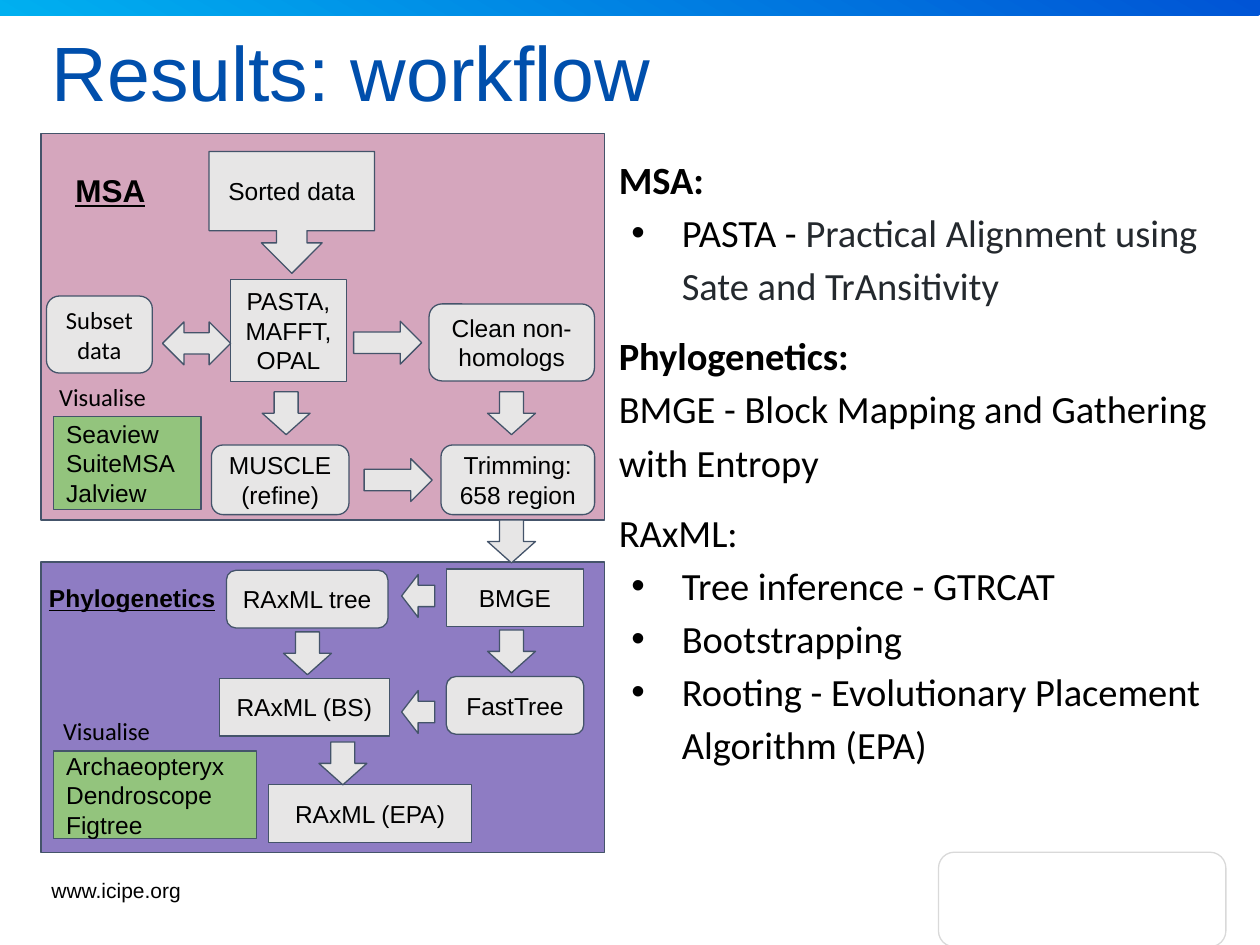
from dataclasses import dataclass
from typing import NamedTuple

from lxml import etree
from pptx import Presentation
from pptx import util as u
from pptx.dml.color import RGBColor
from pptx.enum import shapes, text
from pptx.oxml.ns import qn

Pt = u.Pt
Kind = shapes.MSO_SHAPE
Align = text.PP_ALIGN
Anchor = text.MSO_ANCHOR


def rgb(value: str) -> RGBColor:
    return RGBColor.from_string(value)


@dataclass(frozen=True)
class Theme:
    title: RGBColor = rgb("004FAC")
    ink: RGBColor = rgb("000000")
    soft_ink: RGBColor = rgb("24292E")
    outline: RGBColor = rgb("44546A")
    step: RGBColor = rgb("E7E6E6")
    viewer: RGBColor = rgb("93C47D")
    msa: RGBColor = rgb("D5A6BD")
    phylogenetics: RGBColor = rgb("8E7CC3")
    white: RGBColor = rgb("FFFFFF")
    pale: RGBColor = rgb("D9D9D9")
    band_start: RGBColor = rgb("0054D5")
    band_end: RGBColor = rgb("00B0F0")
    sans: str = "Arial"
    body: str = "Calibri"
    title_size: int = 44
    body_size: int = 22
    heading_size: int = 18
    label_size: int = 14
    footer_size: int = 12
    line_width: float = 0.75
    inset: float = 7.2


THEME = Theme()


class Box(NamedTuple):
    left: float
    top: float
    width: float
    height: float


class Step(NamedTuple):
    kind: Kind
    box: Box
    lines: tuple = ()
    fill: RGBColor = THEME.step
    align: Align = Align.CENTER
    font: str = THEME.sans


class Label(NamedTuple):
    box: Box
    words: str
    size: int = THEME.label_size
    font: str = THEME.sans
    insets: tuple = (0, 0)
    heading: bool = False


class Note(NamedTuple):
    runs: tuple  # (words, colour) pairs
    bold: bool = False
    bullet: bool = False
    before: float = 0


def apply(target, values: dict) -> None:
    for name, value in values.items():
        setattr(target, name, value)


def style_font(font, face: str, size: float, colour=THEME.ink, **extra) -> None:
    apply(font, {"name": face, "size": Pt(size), **extra})
    font.color.rgb = colour


def set_frame(frame, across: float, down: float, anchor=Anchor.TOP) -> None:
    apply(frame, {"word_wrap": True, "auto_size": text.MSO_AUTO_SIZE.NONE,
                  "vertical_anchor": anchor,
                  "margin_left": Pt(across), "margin_right": Pt(across),
                  "margin_top": Pt(down), "margin_bottom": Pt(down)})


def place(box: Box) -> list:
    return [Pt(length) for length in box]


def add_block(slide, kind: Kind, box: Box, fill: RGBColor, line=THEME.outline):
    block = slide.shapes.add_shape(kind, *place(box))
    block.shadow.inherit = False
    block.fill.solid()
    block.fill.fore_color.rgb = fill
    block.line.color.rgb = line
    block.line.width = Pt(THEME.line_width)
    return block


def add_step(slide, step: Step) -> None:
    frame = add_block(slide, step.kind, step.box, step.fill).text_frame
    set_frame(frame, THEME.inset, THEME.inset, Anchor.MIDDLE)
    for index, words in enumerate(step.lines):
        line = frame.add_paragraph() if index else frame.paragraphs[0]
        line.alignment = step.align
        run = line.add_run()
        run.text = words
        style_font(run.font, step.font, THEME.label_size)


def add_label(slide, label: Label) -> None:
    frame = slide.shapes.add_textbox(*place(label.box)).text_frame
    set_frame(frame, *label.insets)
    run = frame.paragraphs[0].add_run()
    run.text = label.words
    style_font(run.font, label.font, label.size, bold=label.heading, underline=label.heading)


def add_bullet(paragraph) -> None:
    props = paragraph._p.get_or_add_pPr()
    props.set("marL", str(Pt(36)))
    props.set("indent", str(-Pt(28.8)))
    colour = etree.SubElement(props, qn("a:buClr"))
    etree.SubElement(colour, qn("a:srgbClr")).set("val", str(THEME.ink))
    etree.SubElement(props, qn("a:buFont")).set("typeface", THEME.sans)
    etree.SubElement(props, qn("a:buChar")).set("char", "•")


def add_notes_column(slide, box: Box, notes: list) -> None:
    frame = slide.shapes.add_textbox(*place(box)).text_frame
    set_frame(frame, THEME.inset, THEME.inset)
    frame.margin_left = 0
    for index, note in enumerate(notes):
        paragraph = frame.add_paragraph() if index else frame.paragraphs[0]
        if note.bullet:
            add_bullet(paragraph)
        apply(paragraph, {"line_spacing": 1.15, "space_before": Pt(note.before)})
        for words, colour in note.runs:
            run = paragraph.add_run()
            run.text = words
            style_font(run.font, THEME.body, THEME.body_size, colour, bold=note.bold)


def add_title(slide, words: str) -> None:
    title = slide.shapes.title
    apply(title, dict(zip(("left", "top", "width", "height"), place(Box(22.3, 13, 682, 62)))))
    set_frame(title.text_frame, 7.2, 3.6, Anchor.MIDDLE)
    title.text_frame.text = words
    paragraph = title.text_frame.paragraphs[0]
    apply(paragraph, {"alignment": Align.LEFT, "line_spacing": 0.9})
    style_font(paragraph.runs[0].font, THEME.sans, THEME.title_size, THEME.title)


PLAIN, ROUND = Kind.FLOWCHART_PROCESS, Kind.FLOWCHART_ALTERNATE_PROCESS

PANELS = [(Box(23.5, 321.2, 322, 165.8), THEME.phylogenetics),
          (Box(23.5, 76.3, 322, 220.9), THEME.msa)]

STEPS = [
    Step(Kind.DOWN_ARROW_CALLOUT, Box(119.5, 86.6, 94.5, 69.6), ("Sorted data",)),
    Step(PLAIN, Box(131.7, 159.7, 66.4, 58.2), ("PASTA, MAFFT,", "OPAL")),
    Step(ROUND, Box(26.6, 169.2, 60.5, 44), ("Subset data",), font=THEME.body),
    Step(ROUND, Box(245.2, 173.7, 94.5, 44), ("Clean non- homologs",)),
    Step(ROUND, Box(120.8, 254.3, 78.6, 39.8), ("MUSCLE (refine)",)),
    Step(ROUND, Box(252, 254.3, 87.8, 39.8), ("Trimming:", "658 region")),
    Step(PLAIN, Box(255, 325.2, 78.6, 33), ("BMGE",)),
    Step(ROUND, Box(129.4, 325.9, 92.3, 33), ("RAxML tree",)),
    Step(ROUND, Box(255, 386.6, 78.6, 33), ("FastTree",)),
    Step(PLAIN, Box(125.3, 387.6, 97.2, 33), ("RAxML (BS)",)),
    Step(PLAIN, Box(153.5, 448.3, 116, 33), ("RAxML (EPA)",)),
    Step(PLAIN, Box(30.7, 238.2, 84.2, 53),
         ("Seaview", "SuiteMSA", "Jalview"), THEME.viewer, Align.LEFT),
    Step(PLAIN, Box(30.7, 429.2, 116, 50),
         ("Archaeopteryx", "Dendroscope", "Figtree"), THEME.viewer, Align.LEFT),
]

# Arrow kind -> (width, height) and top-left corners
ARROWS = {
    Kind.LEFT_RIGHT_ARROW: ((38.9, 24.5), [(92.9, 184)]),
    Kind.RIGHT_ARROW: ((38.9, 24.5), [(202.1, 183.6), (208.1, 262.1)]),
    Kind.DOWN_ARROW: ((27.4, 24.5), [(149.8, 223.9), (278.6, 223.9), (278.6, 297.2),
                                     (162, 361.1), (278.6, 360), (182.2, 424)]),
    Kind.LEFT_ARROW: ((18.9, 24.5), [(229.5, 328.3), (229.5, 394.6)]),
}

LABELS = [
    Label(Box(36, 90.7, 60.5, 36), "MSA", THEME.heading_size, insets=(7.2, 7.2), heading=True),
    Label(Box(28, 326.2, 100.8, 33), "Phylogenetics", insets=(0, 7.2), heading=True),
    Label(Box(33.8, 218.2, 78.5, 18), "Visualise", font=THEME.body),
    Label(Box(36, 409, 78.5, 18), "Visualise", font=THEME.body),
    Label(Box(22.3, 498.2, 414.7, 21.6), "www.icipe.org", THEME.footer_size, insets=(7.2, 3.6)),
]

NOTES = [
    Note((("MSA:", THEME.ink),), bold=True),
    Note((("PASTA - ", THEME.ink),
          ("Practical Alignment using Sate and TrAnsitivity", THEME.soft_ink)), bullet=True),
    Note((("Phylogenetics:", THEME.ink),), bold=True, before=10),
    Note((("BMGE - Block Mapping and Gathering with Entropy", THEME.ink),)),
    Note((("RAxML:", THEME.ink),), before=10),
    *(Note(((words, THEME.ink),), bullet=True) for words in (
        "Tree inference - GTRCAT", "Bootstrapping",
        "Rooting - Evolutionary Placement Algorithm (EPA)")),
]


def main() -> None:
    deck = Presentation()
    apply(deck, {"slide_width": Pt(720), "slide_height": Pt(540)})
    slide = deck.slides.add_slide(deck.slide_layouts[5])
    add_title(slide, "Results: workflow")

    # Top band and corner frame
    band = add_block(slide, Kind.RECTANGLE, Box(0, 0, 720, 8.8), THEME.band_start)
    band.line.fill.background()
    band.fill.gradient()
    band.fill.gradient_angle = 240
    for stop, colour in zip(band.fill.gradient_stops, (THEME.band_start, THEME.band_end)):
        stop.color.rgb = colour
    add_block(slide, Kind.ROUNDED_RECTANGLE, Box(536.3, 487, 164.2, 54), THEME.white, THEME.pale)

    # Workflow
    for box, fill in PANELS:
        add_block(slide, PLAIN, box, fill)
    for step in STEPS:
        add_step(slide, step)
    for kind, (size, corners) in ARROWS.items():
        for corner in corners:
            add_block(slide, kind, Box(*corner, *size), THEME.step)
    for label in LABELS:
        add_label(slide, label)

    # Explanations
    add_notes_column(slide, Box(353.6, 77.8, 344.2, 409.7), NOTES)
    deck.save("out.pptx")


if __name__ == "__main__":
    main()
